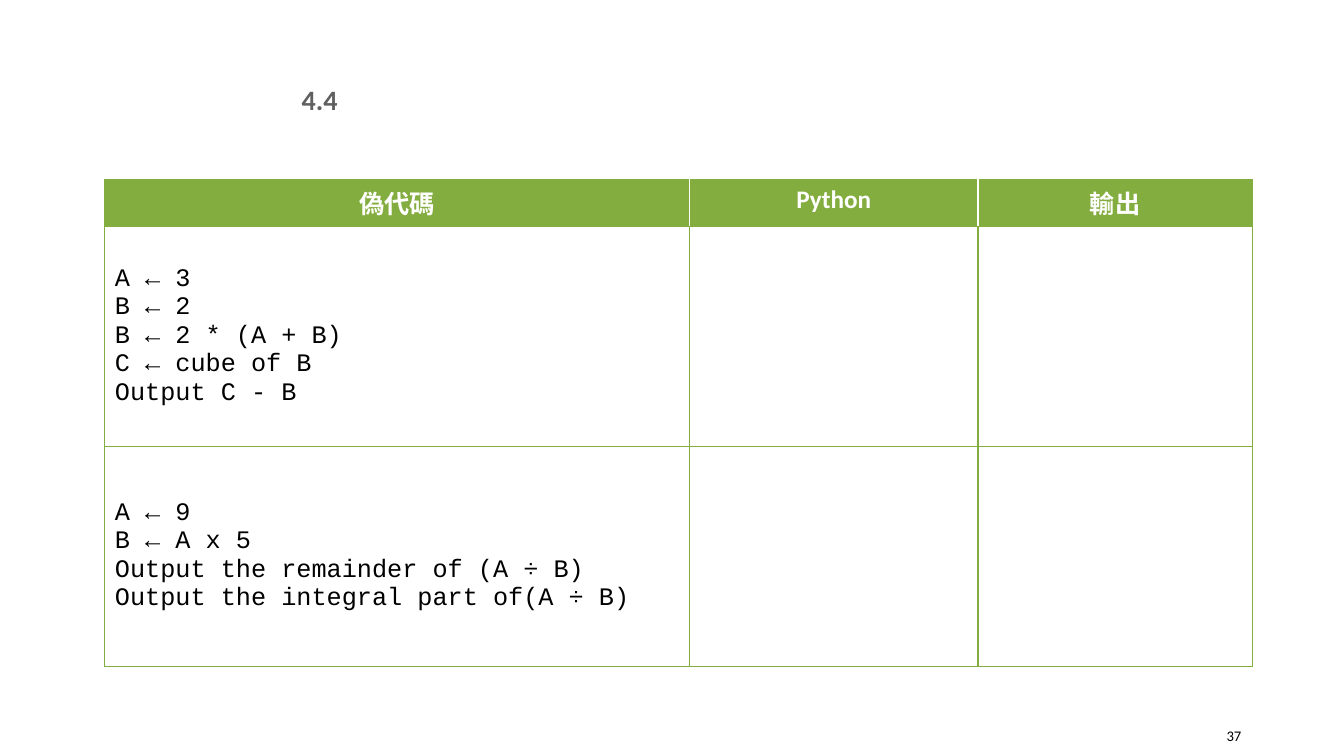
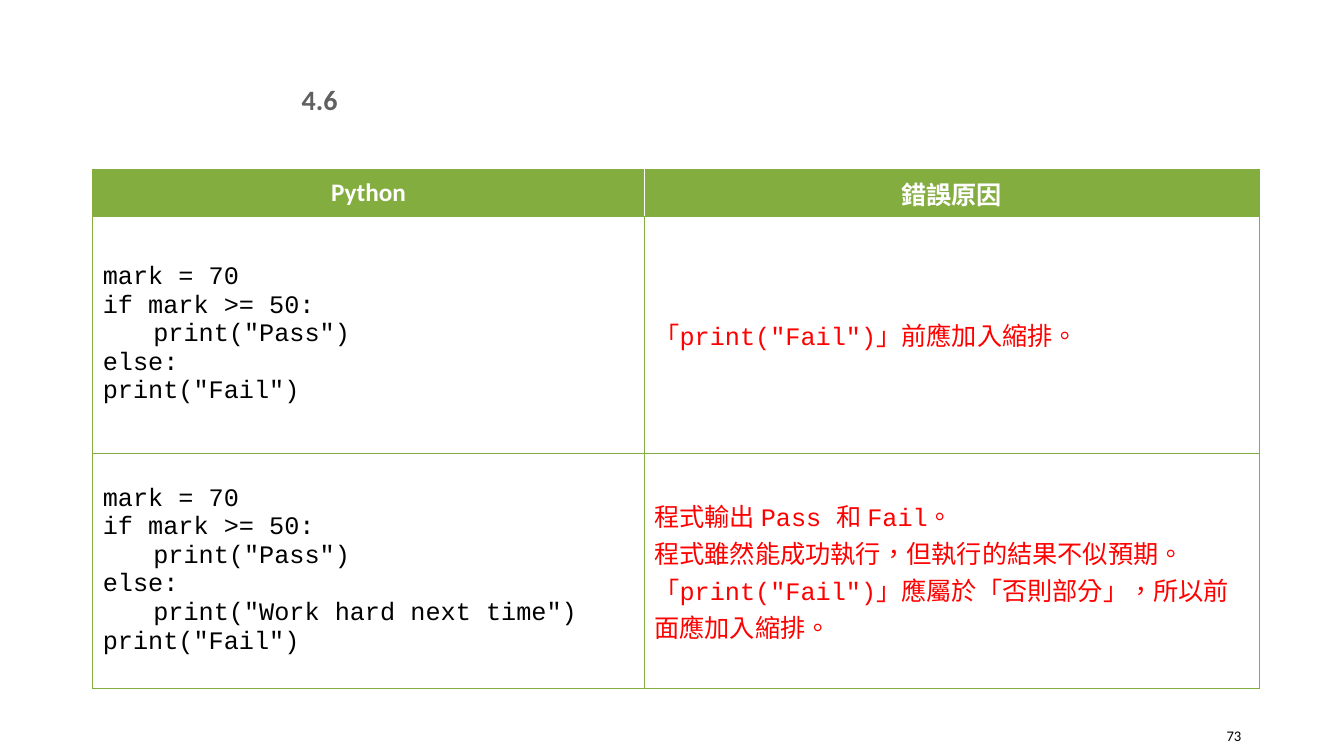
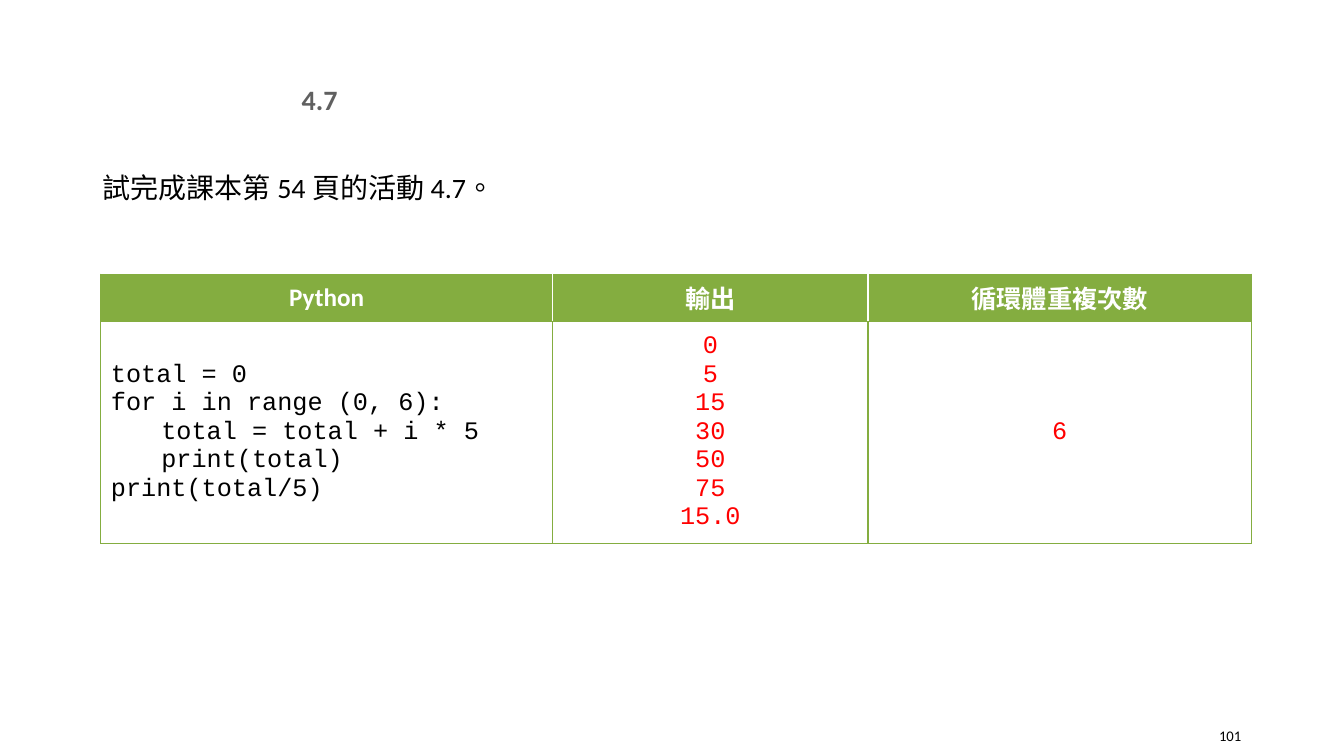
from dataclasses import dataclass
from typing import NamedTuple

from lxml.etree import SubElement
from pptx import Presentation
from pptx.dml.color import RGBColor
from pptx.enum.text import MSO_ANCHOR as Anchor, PP_ALIGN as Align
from pptx.oxml.ns import qn
from pptx.util import Pt

EMU_PER_PX = 9144  # 100 px to the inch
COLORS = {
    "text": "000000",
    "heading": "606060",
    "green": "84AD40",
    "white": "FFFFFF",
    "answer": "FF0000",
}
SANS, CODE, CHINESE = "Calibri", "Courier New", "Noto Sans CJK TC"
HEADER_HEIGHT = 47


class Box(NamedTuple):
    left: int
    top: int
    width: int
    height: int


class Span(NamedTuple):
    text: str
    font: str = SANS


class Style(NamedTuple):
    size: float
    color: str = "text"
    bold: bool = False
    align: Align = Align.LEFT


Line = tuple[Span, ...]


@dataclass
class Cell:
    lines: list[Line]
    style: Style


@dataclass
class Grid:
    left: int
    top: int
    columns: list[int]
    row_heights: list[int]
    headers: list[Span]
    rows: list[list[Cell]]
    header_anchor: Anchor = Anchor.MIDDLE


@dataclass
class Activity:
    number: str
    page: int
    grid: Grid
    instruction: str = ""


HEADING_BOX = Box(270, 83, 94, 31)
INSTRUCTION_BOX = Box(92, 158, 1150, 531)
PAGE_BOX = Box(1157, 710, 84, 40)

HEADING = Style(20, "heading", True, Align.CENTER)
INSTRUCTION = Style(20)
PAGE_NUMBER = Style(10.5, align=Align.RIGHT)
HEADER = Style(18, "white", True, Align.CENTER)
CODE_STYLE = Style(18)
ANSWER = Style(18, "answer")
CENTERED_ANSWER = Style(18, "answer", align=Align.CENTER)


def px(length: int) -> int:
    return length * EMU_PER_PX


def code(*lines: str, style: Style = CODE_STYLE) -> Cell:
    return Cell([(Span(line, CODE),) for line in lines], style)


def blank() -> Cell:
    return code("")


def write(text_frame, lines: list[Line], style: Style) -> None:
    """Fill a text frame with one paragraph per line and one run per span."""
    for index, line in enumerate(lines):
        paragraph = text_frame.add_paragraph() if index else text_frame.paragraphs[0]
        paragraph.alignment = style.align
        paragraph.font.size = Pt(style.size)
        for span in line:
            if not span.text:
                continue
            run = paragraph.add_run()
            run.text = span.text
            run.font.name = span.font
            run.font.size = Pt(style.size)
            run.font.bold = style.bold
            run.font.color.rgb = RGBColor.from_string(COLORS[style.color])
            if span.font != CODE:
                properties = run._r.get_or_add_rPr()
                properties.set("lang", "zh-TW")
                SubElement(properties, qn("a:ea"), typeface=CHINESE)


def add_text(slide, box: Box, text: str, style: Style, anchor: Anchor = Anchor.MIDDLE):
    text_frame = slide.shapes.add_textbox(*map(px, box)).text_frame
    text_frame.word_wrap = True
    text_frame.vertical_anchor = anchor
    write(text_frame, [(Span(text),)], style)
    return text_frame


def set_borders(cell, left: str, right: str) -> None:
    """Draw 1 pt borders, green above and below."""
    properties = cell._tc.get_or_add_tcPr()
    sides = {"lnL": left, "lnR": right, "lnT": "green", "lnB": "green"}
    for side, color in sides.items():
        border = SubElement(properties, qn(f"a:{side}"), w=str(Pt(1)))
        fill = SubElement(border, qn("a:solidFill"))
        SubElement(fill, qn("a:srgbClr"), val=COLORS[color])


def add_grid(slide, grid: Grid) -> None:
    headers = [Cell([(span,)], HEADER) for span in grid.headers]
    rows = [headers, *grid.rows]
    heights = [HEADER_HEIGHT, *grid.row_heights]
    box = Box(grid.left, grid.top, sum(grid.columns), sum(heights))
    table = slide.shapes.add_table(len(rows), len(headers), *map(px, box)).table
    table.horz_banding = False
    for column, width in zip(table.columns, grid.columns):
        column.width = px(width)
    last = len(headers) - 1
    for row_index, (row, height) in enumerate(zip(rows, heights)):
        table.rows[row_index].height = px(height)
        is_header = row_index == 0
        divider = "white" if is_header else "green"
        for column_index, content in enumerate(row):
            cell = table.cell(row_index, column_index)
            set_borders(
                cell,
                left=divider if column_index > 0 else "green",
                right=divider if column_index < last else "green",
            )
            if is_header:
                cell.fill.solid()
                cell.fill.fore_color.rgb = RGBColor.from_string(COLORS["green"])
            else:
                cell.fill.background()
            cell.vertical_anchor = grid.header_anchor if is_header else Anchor.MIDDLE
            write(cell.text_frame, content.lines, content.style)


def add_activity(presentation, activity: Activity) -> None:
    slide = presentation.slides.add_slide(presentation.slide_layouts[6])
    if activity.instruction:
        text_frame = add_text(
            slide, INSTRUCTION_BOX, activity.instruction, INSTRUCTION, Anchor.TOP
        )
        text_frame.paragraphs[0].line_spacing = 1.2
    add_text(slide, PAGE_BOX, str(activity.page), PAGE_NUMBER)
    add_text(slide, HEADING_BOX, activity.number, HEADING)
    add_grid(slide, activity.grid)


PSEUDOCODE_GRID = Grid(
    left=104,
    top=178,
    columns=[580, 286, 272],
    row_heights=[218, 218],
    headers=[Span("偽代碼"), Span("Python"), Span("輸出")],
    header_anchor=Anchor.TOP,
    rows=[
        [
            code("A ← 3", "B ← 2", "B ← 2 * (A + B)", "C ← cube of B", "Output C - B"),
            blank(),
            blank(),
        ],
        [
            code(
                "A ← 9",
                "B ← A x 5",
                "Output the remainder of (A ÷ B)",
                "Output the integral part of(A ÷ B)",
            ),
            blank(),
            blank(),
        ],
    ],
)

FAIL_CALL = Span('print("Fail")', CODE)
MARK_TEST = ("mark = 70", "if mark >= 50:", '\tprint("Pass")', "else:")

ERROR_GRID = Grid(
    left=92,
    top=168,
    columns=[547, 610],
    row_heights=[235, 233],
    headers=[Span("Python"), Span("錯誤原因", CHINESE)],
    rows=[
        [
            code(*MARK_TEST, FAIL_CALL.text),
            Cell(
                [(Span("「", CHINESE), FAIL_CALL, Span("」前應加入縮排。", CHINESE))],
                ANSWER,
            ),
        ],
        [
            code(*MARK_TEST, '\tprint("Work hard next time")', FAIL_CALL.text),
            Cell(
                [
                    (
                        Span("程式輸出 "),
                        Span("Pass ", CODE),
                        Span("和 "),
                        Span("Fail", CODE),
                        Span("。"),
                    ),
                    (Span("程式雖然能成功執行，但執行的結果不似預期。"),),
                    (
                        Span("「"),
                        FAIL_CALL,
                        Span("」應屬於「否則部分」，所以前面應加入縮排。"),
                    ),
                ],
                ANSWER,
            ),
        ],
    ],
)

LOOP_GRID = Grid(
    left=100,
    top=272,
    columns=[448, 313, 380],
    row_heights=[210],
    headers=[Span("Python"), Span("輸出", CHINESE), Span("循環體重複次數", CHINESE)],
    rows=[
        [
            code(
                "total = 0",
                "for i in range (0, 6):",
                "\ttotal = total + i * 5",
                "\tprint(total)",
                "print(total/5)",
            ),
            code("0", "5", "15", "30", "50", "75", "15.0", style=CENTERED_ANSWER),
            code("6", style=CENTERED_ANSWER),
        ]
    ],
)

ACTIVITIES = [
    Activity("4.4", 37, PSEUDOCODE_GRID),
    Activity("4.6", 73, ERROR_GRID),
    Activity("4.7", 101, LOOP_GRID, "試完成課本第 54 頁的活動 4.7。"),
]


def main() -> None:
    presentation = Presentation()
    presentation.slide_width = px(1333)
    presentation.slide_height = px(750)
    for activity in ACTIVITIES:
        add_activity(presentation, activity)
    presentation.save("out.pptx")


if __name__ == "__main__":
    main()
